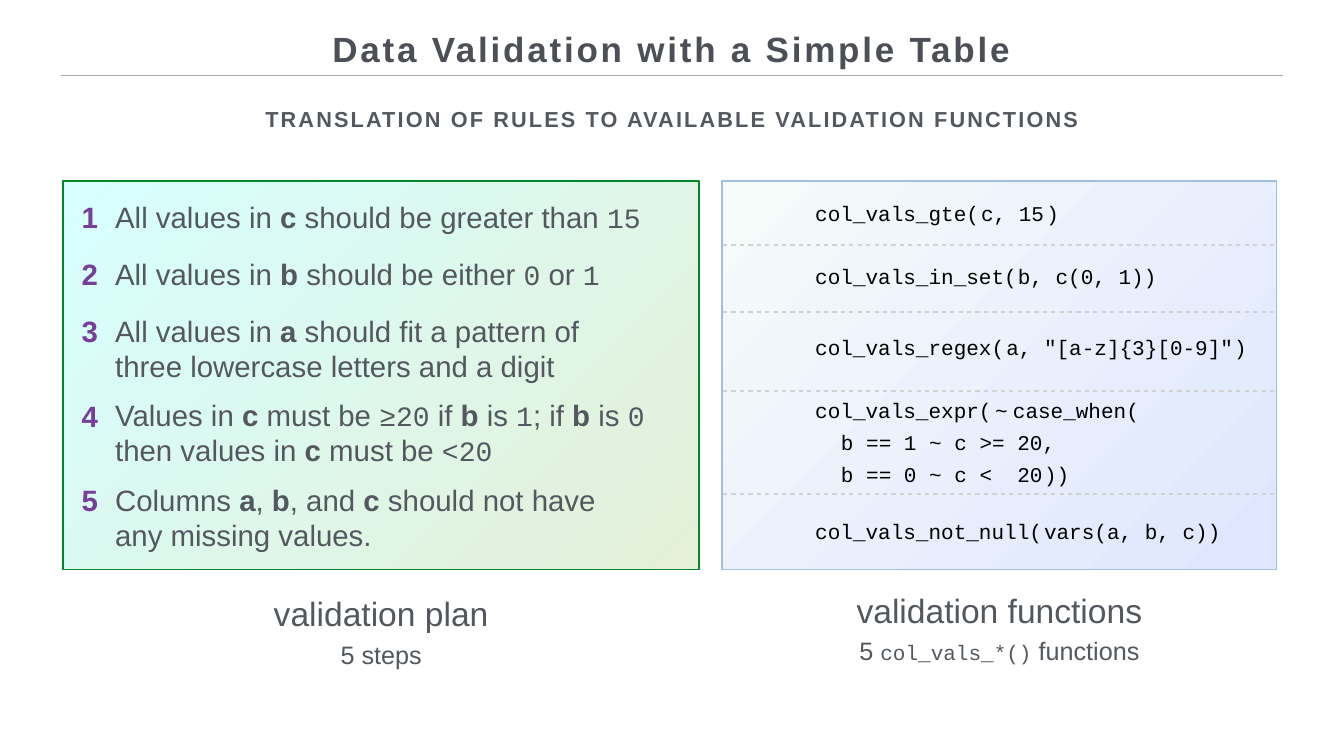
from dataclasses import dataclass
from typing import NamedTuple

from lxml.etree import SubElement
from pptx import Presentation
from pptx.dml.color import RGBColor
from pptx.enum.shapes import MSO_CONNECTOR, MSO_SHAPE
from pptx.enum.text import MSO_ANCHOR as Anchor, PP_ALIGN as Align
from pptx.oxml.ns import qn
from pptx.util import Pt

COLORS = {
    "title": "4C4F56", "text": "53585F", "number": "773F9B", "code": "000000",
    "rule": "A6AAA9", "divider": "D2D2D2",
    "plan_line": "00882B", "plan_start": "E4F0D8", "plan_end": "D7FFFF",
    "code_line": "A1BFE4", "code_start": "E0E6FE", "code_end": "F4FBF9",
}
SANS, MONO = "Arial", "Courier New"
INSET = 4


class Span(NamedTuple):
    text: str
    bold: bool = False
    code_size: float = 0  # above zero: monospaced at this size


class Fragment(NamedTuple):
    left: float
    text: str


@dataclass
class Style:
    size: float
    color: str
    font: str = SANS
    bold: bool = False
    align: Align = Align.LEFT
    anchor: Anchor = Anchor.MIDDLE
    wrap: bool = True
    tracking: float = 0
    line_height: float = 0


@dataclass
class Step:
    width: float
    lines: list[list[Span]]


@dataclass
class Label:
    left: float
    top: float
    width: float
    height: float
    style: Style
    spans: list[Span]


def column(name: str) -> Span:
    return Span(name, bold=True)


def value(text: str) -> Span:
    return Span(text, code_size=40)


TITLE = Style(50, "title", bold=True, align=Align.CENTER, tracking=4)
SUBTITLE = Style(31, "text", bold=True, align=Align.CENTER, tracking=3.1)
CAPTION = Style(48, "text", align=Align.CENTER)
DETAIL = Style(36, "text", align=Align.CENTER)
NUMBER = Style(42, "number", bold=True, align=Align.RIGHT)
PLAN = Style(42, "text", anchor=Anchor.BOTTOM, wrap=False, line_height=50)
CODE = Style(30, "code", MONO, anchor=Anchor.BOTTOM, wrap=False)

LABELS = [
    Label(98.5, 35.5, 1721.5, 67.5, TITLE, [Span("Data Validation with a Simple Table")]),
    Label(291.5, 147.5, 1337, 45.5, SUBTITLE,
          [Span("TRANSLATION OF RULES TO AVAILABLE VALIDATION FUNCTIONS")]),
    Label(91.5, 843, 906, 66, CAPTION, [Span("validation plan")]),
    Label(332, 909, 425, 51, DETAIL, [Span("5 steps")]),
    Label(1126, 838, 603.5, 66, CAPTION, [Span("validation functions")]),
    Label(1178, 903.5, 499.5, 51, DETAIL,
          [Span("5 "), Span("col_vals_*()", code_size=30), Span(" functions")]),
]

STEPS = [
    Step(766, [[Span("All values in "), column("c"), Span(" should be greater than "),
                value("15")]]),
    Step(706, [[Span("All values in "), column("b"), Span(" should be either "),
                value("0"), Span(" or "), value("1")]]),
    Step(677.5, [[Span("All values in "), column("a"), Span(" should fit a pattern of")],
                 [Span("three lowercase letters and a digit")]]),
    Step(767, [[Span("Values in "), column("c"), Span(" must be "), value("≥20"),
                Span(" if "), column("b"), Span(" is "), value("1"), Span("; if "),
                column("b"), Span(" is "), value("0")],
               [Span("then values in "), column("c"), Span(" must be "), value("<20")]]),
    Step(700, [[Span("Columns "), column("a"), Span(", "), column("b"), Span(", and "),
                column("c"), Span(" should not have")],
               [Span("any missing values.")]]),
]
STEP_TOP = 279.8
STEP_HEIGHTS = {1: 58.3, 2: 108}  # by number of lines
STEP_PITCHES = {1: 82.1, 2: 120.4}

# Code rows: top of the row, then its fragments from left to right
CODE_LEFT, INDENT_LEFT = 1160.6, 1197.4
CODE_ROWS = {
    283: [Fragment(CODE_LEFT, "col_vals_gte("), Fragment(1397.5, "c, 15"),
          Fragment(1491, ")")],
    373.7: [Fragment(CODE_LEFT, "col_vals_in_set("), Fragment(1450, "b, c(0, 1)"),
            Fragment(1630, ")")],
    475.2: [Fragment(CODE_LEFT, "col_vals_regex("),
            Fragment(1433.5, 'a, "[a-z]{3}[0-9]"'), Fragment(1759, ")")],
    565.2: [Fragment(CODE_LEFT, "col_vals_expr("), Fragment(1417.7, "~"),
            Fragment(1443, "case_when(")],
    610.8: [Fragment(INDENT_LEFT, "b == 1 ~ c >= 20,")],
    656.6: [Fragment(INDENT_LEFT, "b == 0 ~ c <  20"), Fragment(1487.5, ")"),
            Fragment(1505.5, ")")],
    737.3: [Fragment(CODE_LEFT, "col_vals_not_null("),
            Fragment(1487.5, "vars(a, b, c)"), Fragment(1721.5, ")")],
}
CHARACTER_WIDTH, CODE_SLACK = 18, 2
DIVIDER_TOPS = [350, 445.7, 558, 705.6]


def rgb(name: str) -> RGBColor:
    return RGBColor.from_string(COLORS[name])


def add_text(page, left: float, top: float, width: float, height: float,
             style: Style, lines: list[list[Span]]) -> None:
    box = page.shapes.add_textbox(Pt(left), Pt(top), Pt(width), Pt(height))
    frame = box.text_frame
    frame.word_wrap = style.wrap
    frame.vertical_anchor = style.anchor
    frame.margin_left = frame.margin_right = Pt(INSET)
    frame.margin_top = frame.margin_bottom = Pt(INSET)
    for index, spans in enumerate(lines):
        para = frame.add_paragraph() if index else frame.paragraphs[0]
        para.alignment = style.align
        if style.line_height:
            para.line_spacing = Pt(style.line_height)
        font = para.font
        font.name, font.size, font.bold = style.font, Pt(style.size), style.bold
        font.color.rgb = rgb(style.color)
        if style.tracking:
            defaults = para._p.get_or_add_pPr().get_or_add_defRPr()
            defaults.set("spc", str(round(style.tracking * 100)))
        for span in spans:
            run = para.add_run()
            run.text = span.text
            if span.bold:
                run.font.bold = True
            if span.code_size:
                run.font.name, run.font.size = MONO, Pt(span.code_size)


def add_panel(page, left: float, width: float, name: str) -> None:
    panel = page.shapes.add_shape(MSO_SHAPE.RECTANGLE, Pt(left), Pt(258.5),
                                  Pt(width), Pt(555))
    panel.shadow.inherit = False
    panel.fill.gradient()
    panel.fill.gradient_angle = 135
    for stop, end in zip(panel.fill.gradient_stops, ("start", "end")):
        stop.color.rgb = rgb(f"{name}_{end}")
    panel.line.color.rgb = rgb(f"{name}_line")
    panel.line.width = Pt(2)


def add_rule(page, left: float, right: float, top: float, color: str,
             weight: float, dashed: bool = False) -> None:
    rule = page.shapes.add_connector(MSO_CONNECTOR.STRAIGHT, Pt(left), Pt(top),
                                     Pt(right), Pt(top))
    rule.line.color.rgb = rgb(color)
    rule.line.width = Pt(weight)
    properties = rule._element.spPr
    if dashed:  # dash and gap of two line widths each
        pattern = SubElement(properties.find(qn("a:ln")), qn("a:custDash"))
        SubElement(pattern, qn("a:ds"), d="200000", sp="200000")
    SubElement(properties, qn("a:effectLst"))


def main() -> None:
    deck = Presentation()
    deck.slide_width, deck.slide_height = Pt(1920), Pt(1080)
    page = deck.slides.add_slide(deck.slide_layouts[6])

    # Headings and captions
    add_rule(page, 87, 1833, 108, "rule", 2)
    for label in LABELS:
        add_text(page, label.left, label.top, label.width, label.height,
                 label.style, [label.spans])

    # Validation plan
    add_panel(page, 90, 908.5, "plan")
    top = STEP_TOP
    for number, step in enumerate(STEPS, 1):
        count = len(step.lines)
        add_text(page, 89.3, top, 54.7, STEP_HEIGHTS[1], NUMBER, [[Span(str(number))]])
        add_text(page, 160.5, top, step.width, STEP_HEIGHTS[count], PLAN, step.lines)
        top += STEP_PITCHES[count]

    # Validation functions
    add_panel(page, 1031.5, 792, "code")
    for divider_top in DIVIDER_TOPS:
        add_rule(page, 1033, 1824.5, divider_top, "divider", 3, dashed=True)
    for row_top, fragments in CODE_ROWS.items():
        for left, text in fragments:
            width = CHARACTER_WIDTH * len(text) + 2 * INSET + CODE_SLACK
            add_text(page, left, row_top, width, 43.2, CODE, [[Span(text)]])

    deck.save("out.pptx")


if __name__ == "__main__":
    main()
